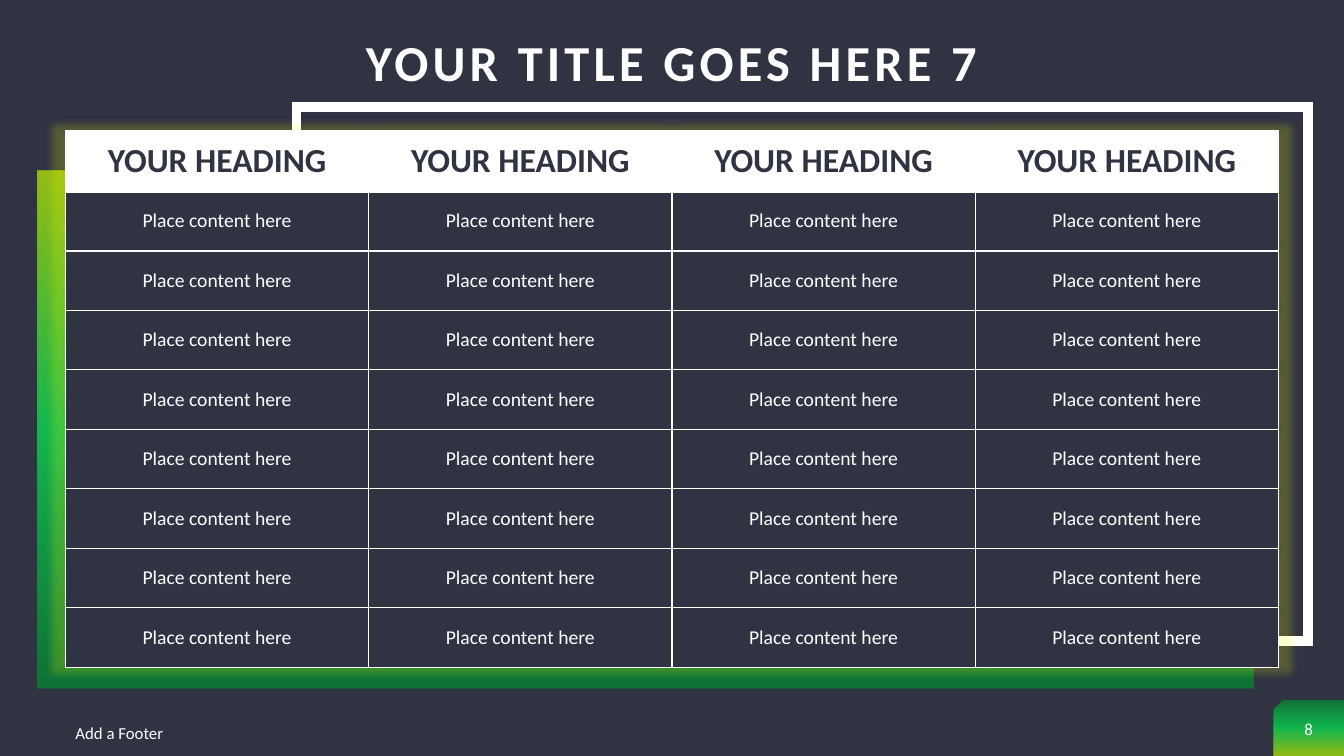
from lxml.etree import SubElement
from pptx import Presentation
from pptx.dml.color import RGBColor
from pptx.enum.shapes import MSO_SHAPE
from pptx.enum.text import MSO_ANCHOR, MSO_AUTO_SIZE, PP_ALIGN
from pptx.oxml import parse_xml
from pptx.oxml.ns import nsdecls, qn
from pptx.util import Inches, Pt

FONT = "Calibri"
NAVY = "2F3342"
WHITE = "FFFFFF"
GREENS = [(0, "038B30"), (50, "05EE55"), (100, "C0F400")]
COLUMNS = 4
BODY_ROWS = 8


def rgb(value):
    """Return the colour for a hex string."""
    return RGBColor.from_string(value)


def place(sp, left, top, width, height):
    """Move and size a shape, in inches."""
    sp.left, sp.top = Inches(left), Inches(top)
    sp.width, sp.height = Inches(width), Inches(height)


def write(tf, text, size=12, color=WHITE, bold=False, align=PP_ALIGN.CENTER,
          line_spacing=None, tracking=None):
    """Fill a text frame with one formatted run."""
    p = tf.paragraphs[0]
    p.alignment = align
    p.line_spacing = line_spacing
    r = p.add_run()
    r.text = text
    r.font.name = FONT
    r.font.size = Pt(size)
    r.font.bold = bold
    r.font.color.rgb = rgb(color)
    if tracking:
        r.font._element.set("spc", str(tracking * 100))


def add_text(slide, text, box, **style):
    """Add a vertically centred text box."""
    tf = slide.shapes.add_textbox(*map(Inches, box)).text_frame
    tf.word_wrap = True
    tf.vertical_anchor = MSO_ANCHOR.MIDDLE
    write(tf, text, **style)


def add_gradient_shape(slide, kind, box, angle, flip=False):
    """Add a borderless shape with the translucent green gradient."""
    sp = slide.shapes.add_shape(kind, *map(Inches, box))
    sp.shadow.inherit = False
    sp.line.fill.background()
    stops = "".join(
        f'<a:gs pos="{pos * 1000}"><a:srgbClr val="{color}">'
        f'<a:alpha val="70000"/></a:srgbClr></a:gs>' for pos, color in GREENS)
    geometry = sp._element.spPr.find(qn("a:prstGeom"))
    geometry.addnext(parse_xml(
        f'<a:gradFill {nsdecls("a")} rotWithShape="1"><a:gsLst>{stops}</a:gsLst>'
        f'<a:lin ang="{angle * 60000}" scaled="0"/></a:gradFill>'))
    if flip:
        sp._element.spPr.find(qn("a:xfrm")).set("flipH", "1")


def add_frame(slide, box, width):
    """Add an unfilled white frame with square corners."""
    sp = slide.shapes.add_shape(MSO_SHAPE.RECTANGLE, *map(Inches, box))
    sp.shadow.inherit = False
    sp.fill.background()
    sp.line.color.rgb = rgb(WHITE)
    sp.line.width = Pt(width)
    SubElement(sp.line._ln, qn("a:miter"), lim="800000")


def format_cell(cell, fill, bottom=1):
    """Give a cell its white borders, fill, margins and anchor."""
    tc_pr = cell._tc.get_or_add_tcPr()
    for side, width in (("L", 1), ("R", 1), ("T", 1), ("B", bottom)):
        ln = SubElement(tc_pr, qn(f"a:ln{side}"), w=str(Pt(width)))
        line_fill = SubElement(ln, qn("a:solidFill"))
        SubElement(line_fill, qn("a:srgbClr"), val=WHITE)
    cell.fill.solid()
    cell.fill.fore_color.rgb = rgb(fill)
    cell.margin_left = cell.margin_right = Inches(0.07)
    cell.margin_top = cell.margin_bottom = Inches(0.04)
    cell.vertical_anchor = MSO_ANCHOR.MIDDLE


def add_glow(table):
    """Add a soft yellow shadow slightly larger than the table."""
    table._tbl.tblPr.insert(0, parse_xml(
        f'<a:effectLst {nsdecls("a")}><a:outerShdw blurRad="{Pt(5)}" '
        f'sx="102000" sy="102000" algn="ctr" rotWithShape="0">'
        f'<a:srgbClr val="FFFF00"><a:alpha val="20000"/></a:srgbClr>'
        f'</a:outerShdw></a:effectLst>'))


def add_content_table(slide, box):
    """Add the table of headings and content cells."""
    table = slide.shapes.add_table(BODY_ROWS + 1, COLUMNS, *map(Inches, box)).table
    add_glow(table)
    for column in table.columns:
        column.width = Inches(box[2] / COLUMNS)
    for i, row in enumerate(table.rows):
        row.height = Inches(0.59 if i else 0.6)
        for cell in row.cells:
            if i:
                format_cell(cell, NAVY)
                write(cell.text_frame, "Place content here", size=14)
            else:
                format_cell(cell, WHITE, bottom=3)
                write(cell.text_frame, "YOUR HEADING", size=24, color=NAVY, bold=True)


def set_title(slide, text):
    """Format the title placeholder."""
    sp = slide.shapes.title
    place(sp, 0.65, 0, 12.03, 1.3)
    tf = sp.text_frame
    tf.auto_size = MSO_AUTO_SIZE.NONE
    tf.vertical_anchor = MSO_ANCHOR.MIDDLE
    write(tf, text, size=36, bold=True, line_spacing=0.9, tracking=3)


def main():
    """Build the slide and save it."""
    prs = Presentation()
    prs.slide_width, prs.slide_height = Inches(13.33), Inches(7.5)
    slide = prs.slides.add_slide(prs.slide_layouts[5])
    slide.background.fill.solid()
    slide.background.fill.fore_color.rgb = rgb(NAVY)

    set_title(slide, "YOUR TITLE GOES HERE 7")
    add_gradient_shape(slide, MSO_SHAPE.SNIP_1_RECTANGLE, (12.63, 6.95, 0.7, 0.55),
                       angle=90, flip=True)
    add_frame(slide, (2.94, 1.06, 10.03, 5.3), width=7)
    add_gradient_shape(slide, MSO_SHAPE.RECTANGLE, (0.37, 1.69, 12.06, 5.14), angle=270)
    add_content_table(slide, (0.65, 1.3, 12.03, 5.3))
    add_text(slide, "Add a Footer", (0.65, 7.07, 4.5, 0.4), align=PP_ALIGN.LEFT)
    add_text(slide, "8", (12.63, 7.01, 0.7, 0.45))
    prs.save("out.pptx")


if __name__ == "__main__":
    main()
